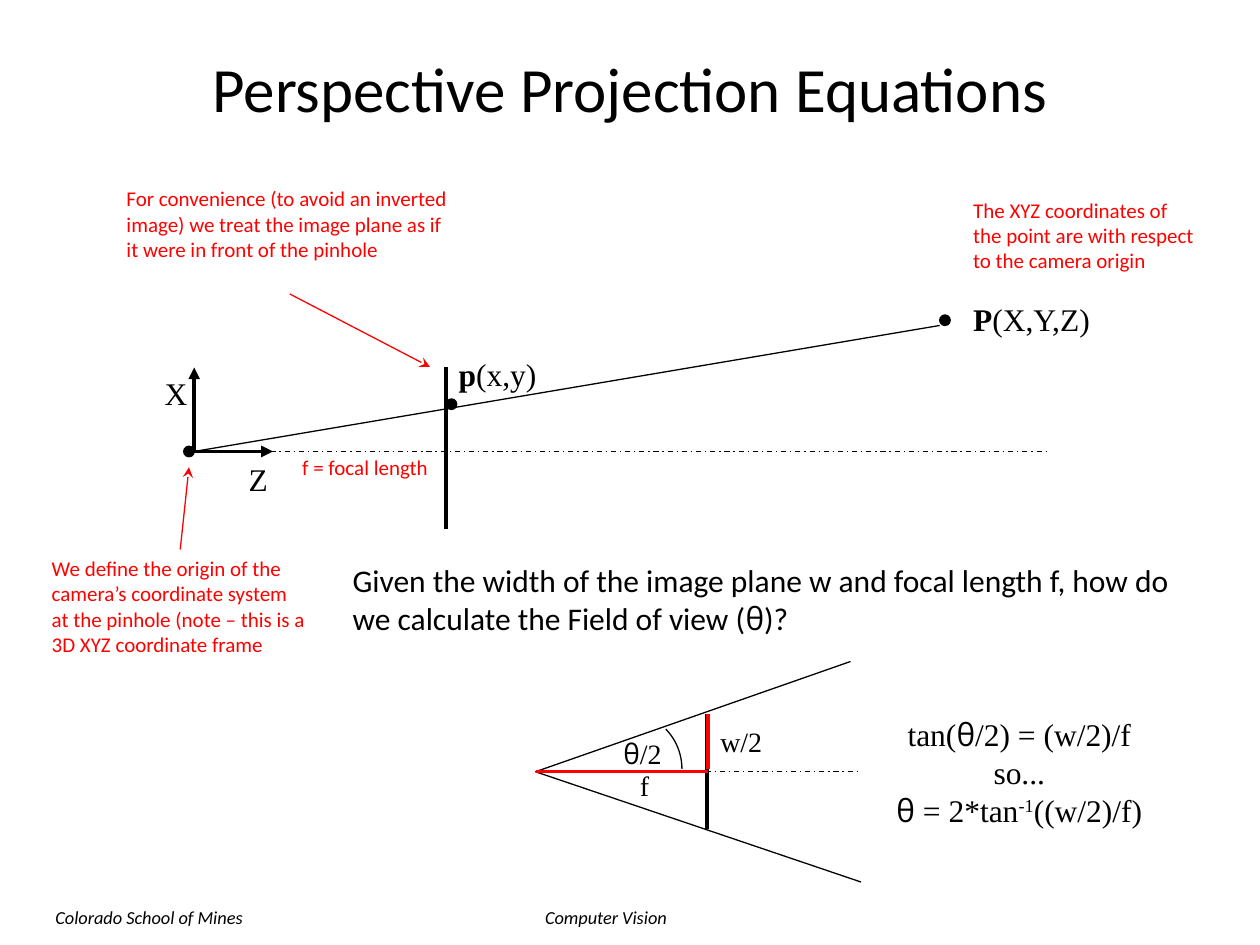
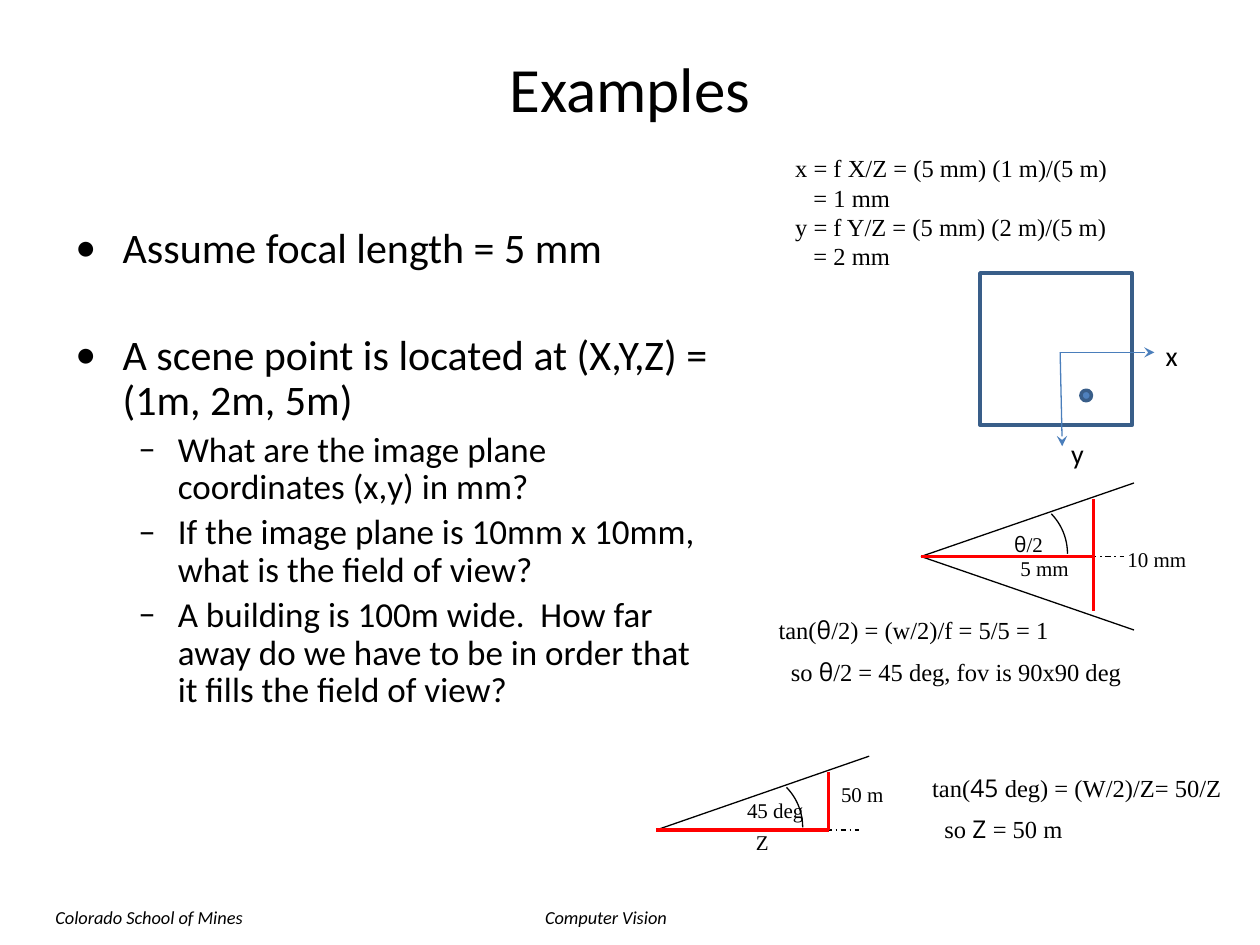
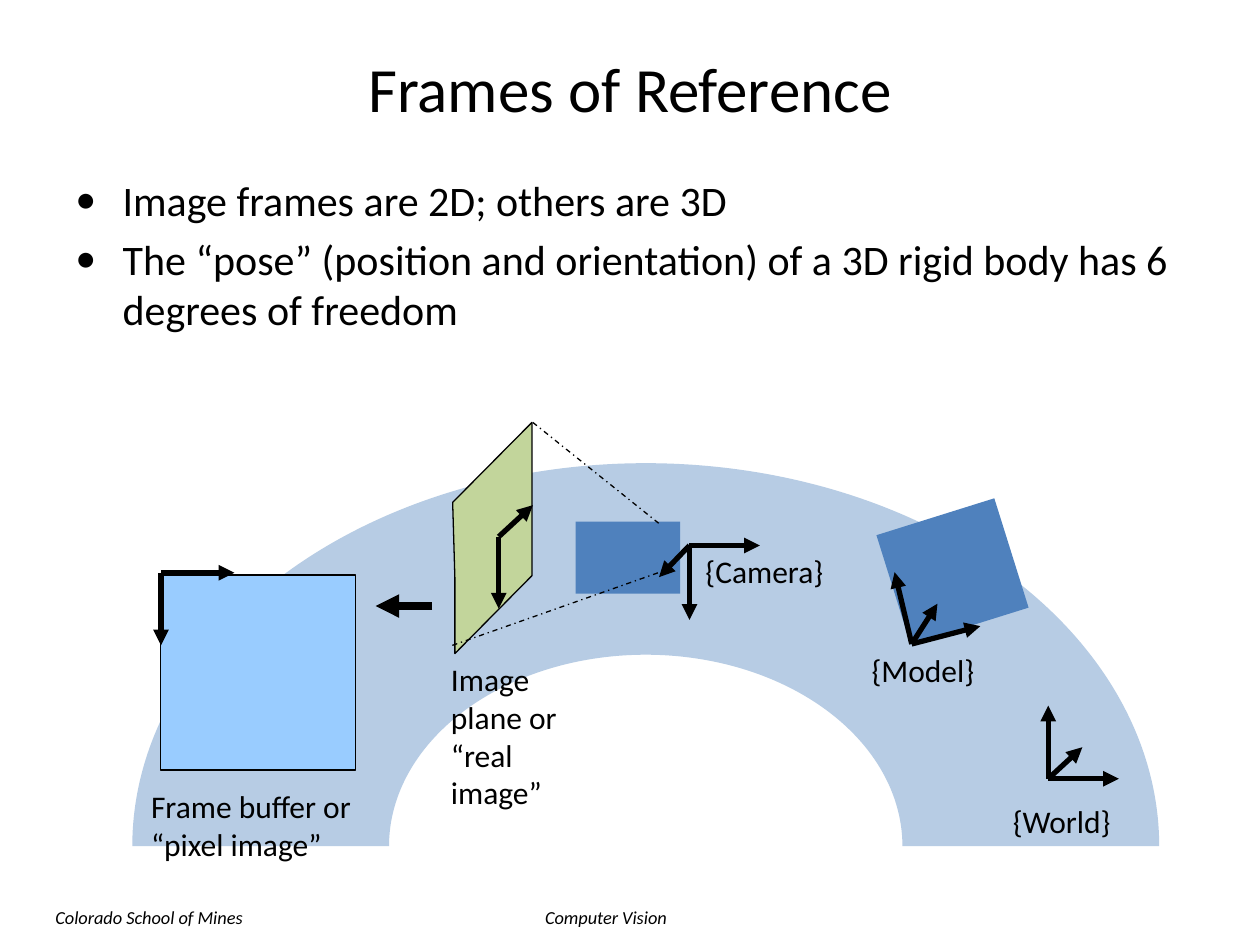
from dataclasses import dataclass

from lxml.etree import SubElement
from pptx import Presentation
from pptx.dml.color import RGBColor
from pptx.enum.dml import MSO_LINE
from pptx.enum.shapes import MSO_CONNECTOR, MSO_SHAPE
from pptx.enum.text import MSO_ANCHOR, PP_ALIGN
from pptx.oxml.ns import qn
from pptx.util import Pt


@dataclass(frozen=True)
class Theme:
    """Colours, fonts and sizes shared by the slides."""

    ink: str = "000000"
    accent: str = "FF0000"
    body_blue: str = "4F81BD"
    edge_blue: str = "395E89"
    axis_blue: str = "4A7EBB"
    arch_blue: str = "B7CCE4"
    buffer_blue: str = "99CCFF"
    plane_green: str = "C2D59B"
    sans: str = "Calibri"
    serif: str = "Times New Roman"
    symbol: str = "Open Sans"
    title: float = 36
    bullet: float = 24
    sub_bullet: float = 20
    text: float = 18
    label: float = 16
    working: float = 14
    note: float = 12
    footer: float = 10.5
    hairline: float = 0.75
    highlight: float = 1.75
    outline: float = 2
    bold_line: float = 2.25
    frame_line: float = 3


THEME = Theme()
THETA = ("θ", "symbol")


def set_font(font, size, name, color, italic=None):
    """Apply size, typeface and colour to a font."""
    font.size = Pt(size)
    font.name = name
    font.color.rgb = RGBColor.from_string(color)
    font.italic = italic


def add_part(paragraph, part):
    """Add a run, given as text or as text with a role."""
    text, role = (part, None) if isinstance(part, str) else part
    run = paragraph.add_run()
    run.text = text
    if role == "symbol":
        run.font.name = THEME.symbol
    elif role == "bold":
        run.font.bold = True
    elif role == "super":
        run._r.get_or_add_rPr().set("baseline", "30000")


def add_frame(slide, box):
    """Add a wrapping text box and return its text frame."""
    frame = slide.shapes.add_textbox(*map(Pt, box)).text_frame
    frame.word_wrap = True
    return frame


def next_paragraph(frame, index):
    """Return the paragraph to write for this index."""
    return frame.add_paragraph() if index else frame.paragraphs[0]


def add_text(slide, box, *lines, size=THEME.text, name=THEME.sans, color=THEME.ink,
             italic=None, align=None, gap=None, indents=()):
    """Write lines, each a text or a list of parts, and return the frame."""
    frame = add_frame(slide, box)
    for index, line in enumerate(lines):
        paragraph = next_paragraph(frame, index)
        paragraph.alignment = align
        if index and gap:
            paragraph.space_before = Pt(gap)
        if indents and indents[index]:
            paragraph._p.get_or_add_pPr().set("marL", str(Pt(indents[index])))
        for part in [line] if isinstance(line, str) else line:
            add_part(paragraph, part)
        set_font(paragraph.font, size, name, color, italic)
    return frame


def add_math(slide, box, *lines, **style):
    """Write lines in the serif face used for formulas."""
    add_text(slide, box, *lines, name=THEME.serif, **style)


def add_note(slide, box, text):
    """Write a red annotation."""
    add_text(slide, box, text, size=THEME.note, color=THEME.accent)


def add_bullets(slide, box, items, spacing=None):
    """Write bullets given as (level, space before, text)."""
    frame = add_frame(slide, box)
    levels = [("•", 27, -27, THEME.bullet), ("–", 58.5, -22.5, THEME.sub_bullet)]
    for index, (level, before, text) in enumerate(items):
        mark, margin, hanging, size = levels[level]
        paragraph = next_paragraph(frame, index)
        paragraph.level = level
        paragraph.line_spacing = spacing
        if before:
            paragraph.space_before = Pt(before)
        properties = paragraph._p.get_or_add_pPr()
        properties.set("marL", str(Pt(margin)))
        properties.set("indent", str(Pt(hanging)))
        SubElement(properties, qn("a:buFont")).set("typeface", THEME.sans)
        SubElement(properties, qn("a:buChar")).set("char", mark)
        add_part(paragraph, text)
        set_font(paragraph.font, size, THEME.sans, THEME.ink)


def add_line(slide, start, end, width=THEME.hairline, color=THEME.ink, dashed=False, head=None):
    """Draw a straight line with an optional arrowhead at its end."""
    connector = slide.shapes.add_connector(MSO_CONNECTOR.STRAIGHT, *map(Pt, (*start, *end)))
    connector.line.width = Pt(width)
    connector.line.color.rgb = RGBColor.from_string(color)
    if dashed:
        connector.line.dash_style = MSO_LINE.DASH_DOT
    if head:
        SubElement(connector.line._get_or_add_ln(), qn("a:tailEnd")).set("type", head)
    SubElement(connector._element.spPr, qn("a:effectLst"))


def add_axes(slide, origin, tips, width=THEME.frame_line, color=THEME.ink, head="triangle"):
    """Draw coordinate axes from an origin to their tips."""
    for tip in tips:
        add_line(slide, origin, tip, width, color, head=head)


def paint(shape, fill=None, line=None, width=THEME.hairline):
    """Set fill and outline, leaving out what is not given."""
    shape.shadow.inherit = False
    if fill:
        shape.fill.solid()
        shape.fill.fore_color.rgb = RGBColor.from_string(fill)
    else:
        shape.fill.background()
    if line:
        shape.line.color.rgb = RGBColor.from_string(line)
        shape.line.width = Pt(width)
    else:
        shape.line.fill.background()


def add_preset(slide, kind, box, **look):
    """Draw a preset shape."""
    shape = slide.shapes.add_shape(kind, *map(Pt, box))
    paint(shape, **look)
    return shape


def add_dot(slide, x, y, **look):
    """Mark a point by the top left corner of its dot."""
    add_preset(slide, MSO_SHAPE.OVAL, (x, y, 6, 6), **look)


def add_outline(slide, points, **look):
    """Draw a closed polygon."""
    corners = [tuple(map(Pt, point)) for point in points]
    builder = slide.shapes.build_freeform(*corners[0])
    builder.add_line_segments(corners[1:], close=True)
    shape = builder.convert_to_shape()
    paint(shape, **look)
    return shape


def add_arch(slide, center, outer):
    """Draw a half ring whose inner radii are half the outer ones."""
    x, y = center
    across, up = outer
    inner = (across / 2, up / 2)
    arch = add_outline(slide, [
        (x - inner[0], y), (x, y - inner[1]), (x + inner[0], y),
        (x + across, y), (x, y - up), (x - across, y),
    ], fill=THEME.arch_blue)
    sides = list(arch._element.iter(qn("a:lnTo")))
    quarters = [(0, inner, 180, 90), (1, inner, 270, 90), (3, outer, 0, -90), (4, outer, 270, -90)]
    for index, radii, start, sweep in quarters:
        side = sides[index]
        curve = side.makeelement(qn("a:arcTo"), {
            "wR": str(Pt(radii[0])), "hR": str(Pt(radii[1])),
            "stAng": str(start * 60000), "swAng": str(sweep * 60000),
        })
        side.getparent().replace(side, curve)


def add_field_of_view(slide, apex, axis, rays, plane):
    """Draw rays, axis, angle and image plane relative to an apex."""
    x, y = apex
    plane_x = x + 98.6
    add_line(slide, apex, (x + axis, y), dashed=True)
    for across, down in rays:
        add_line(slide, apex, (x + across, y + down))
    arc = add_preset(slide, MSO_SHAPE.ARC, (x + 18.2, y - 34.3, 65.5, 65.5), line=THEME.ink)
    arc.adjustments[0] = 189.51
    arc.adjustments[1] = 0
    top, bottom = plane
    add_line(slide, (plane_x, y + bottom), (plane_x, y + top), THEME.highlight, THEME.accent)
    add_line(slide, (plane_x, y), apex, THEME.highlight, THEME.accent)


def add_footer(slide):
    """Write the footer and hand it to the layout that all slides share."""
    for left, width, text in [(304.4, 101, "Computer Vision"), (24.6, 145.5, "Colorado School of Mines")]:
        frame = add_text(slide, (left, 514, width, 19.5), text, size=THEME.footer, italic=True)
        slide.slide_layout.shapes._spTree.append(frame._txBody.getparent())


def new_slide(deck, heading):
    """Add a slide with its title."""
    slide = deck.slides.add_slide(deck.slide_layouts[5])
    title = slide.shapes.title
    title.left, title.top, title.width, title.height = map(Pt, (36, 21.6, 648, 56.2))
    title.text_frame.text = heading
    title.text_frame.vertical_anchor = MSO_ANCHOR.MIDDLE
    paragraph = title.text_frame.paragraphs[0]
    paragraph.alignment = PP_ALIGN.CENTER
    set_font(paragraph.font, THEME.title, THEME.sans, THEME.ink)
    return slide


def build_projection(deck):
    """Show the pinhole model and the field of view formula."""
    slide = new_slide(deck, "Perspective Projection Equations")
    add_footer(slide)
    pinhole = (111, 258)
    add_line(slide, (255, 210), (255, 302.4), THEME.bold_line)
    add_line(slide, (114, 258), (600, 258), dashed=True)
    add_axes(slide, pinhole, [(156, 258), (111, 210)], THEME.bold_line)
    add_line(slide, pinhole, (537, 186))
    for x, y in [(537, 180), (105, 255), (255, 228)]:
        add_dot(slide, x, y, fill=THEME.ink, line=THEME.ink)
    add_math(slide, (87, 210, 47.5, 29), "X")
    add_math(slide, (135, 259.3, 47.5, 29), "Z")
    add_math(slide, (549, 167.8, 90, 29), [("P", "bold"), "(X,Y,Z)"])
    add_math(slide, (255, 199.5, 90, 29), [("p", "bold"), "(x,y)"])

    add_note(slide, (165.6, 256.2, 87, 36), "f = focal length")
    add_note(slide, (22.5, 314, 160.5, 93),
             "We define the origin of the camera’s coordinate system at the pinhole "
             "(note – this is a 3D XYZ coordinate frame")
    add_note(slide, (65.2, 102.7, 201, 78.5),
             "For convenience (to avoid an inverted image) we treat the image plane as if "
             "it were in front of the pinhole")
    add_note(slide, (549, 109.2, 144, 78.5),
             "The XYZ coordinates of the point are with respect to the camera origin")
    for start, end in [((103, 314), (108, 267)), ((165.6, 168), (245.7, 209.7))]:
        add_line(slide, start, end, color=THEME.accent, head="stealth")

    add_text(slide, (194.4, 317, 497, 29),
             ["Given the width of the image plane w and focal length f, how do we calculate "
              "the Field of view (", THETA, ")?"])
    add_line(slide, (404.2, 408), (404.2, 474), THEME.bold_line)
    add_field_of_view(slide, (306, 441), 186, [(180, -63), (186, 63)], (-33, -1.5))
    add_math(slide, (404.6, 410.2, 45, 26), "w/2", size=THEME.label)
    add_math(slide, (358.6, 435.4, 45, 26), "f", size=THEME.label)
    add_math(slide, (349.2, 417.6, 45, 26), [THETA, "/2"], size=THEME.label)
    add_math(slide, (498, 405, 169, 29),
             ["tan(", THETA, "/2) = (w/2)/f"], "so...",
             [THETA, " = 2*tan", ("-1", "super"), "((w/2)/f)"], align=PP_ALIGN.CENTER)


def build_examples(deck):
    """Work through the numeric examples."""
    slide = new_slide(deck, "Examples")
    add_bullets(slide, (36, 126, 378, 356.4), [
        (0, 0, "Assume focal length = 5 mm"),
        (0, 35.5, "A scene point is located at (X,Y,Z) = (1m, 2m, 5m)"),
        (1, 4, "What are the image plane coordinates (x,y) in mm?"),
        (1, 4, "If the image plane is 10mm x 10mm, what is the field of view?"),
        (1, 4, "A building is 100m wide.  How far away do we have to be in order that "
               "it fills the field of view?"),
    ], spacing=0.9)
    add_math(slide, (447.3, 84, 233, 91), "x = f X/Z = (5 mm) (1 m)/(5 m)", "= 1 mm",
             "y = f Y/Z = (5 mm) (2 m)/(5 m)", "= 2 mm",
             size=THEME.working, indents=(0, 10.5, 0, 10.5))

    add_preset(slide, MSO_SHAPE.RECTANGLE, (560, 156, 87, 87), line=THEME.edge_blue, width=THEME.outline)
    add_axes(slide, (605.8, 201.4), [(659.7, 201.4), (607, 255)], THEME.hairline, THEME.axis_blue, "stealth")
    add_text(slide, (659, 190, 24, 26), "x", size=THEME.label)
    add_text(slide, (605, 246, 24, 26), "y", size=THEME.label)
    add_dot(slide, 617.7, 223, fill=THEME.body_blue, line=THEME.edge_blue, width=THEME.outline)

    add_math(slide, (437.8, 348, 252, 47.5), ["tan(", THETA, "/2) = (w/2)/f = 5/5 = 1"],
             ["so ", THETA, "/2 = 45 deg, fov is 90x90 deg"],
             size=THEME.working, gap=7, indents=(0, 7))
    add_math(slide, (525.6, 438.1, 186, 47.5),
             ["tan(", ("45 ", "symbol"), "deg) = (W/2)/Z= 50/Z"],
             ["so ", ("Ζ ", "symbol"), "= 50 m"],
             size=THEME.working, gap=7, indents=(0, 7))

    add_field_of_view(slide, (526.3, 318), 116, [(121.7, -42), (121.7, 42)], (-33, 31.2))
    add_field_of_view(slide, (375, 474.3), 116, [(121.7, -42.2)], (-33, 0))
    for box, label in [
        ((637.2, 309, 56, 21.6), "10 mm"),
        ((576, 314, 45.4, 21.6), "5 mm"),
        ((572.4, 300.2, 45.4, 21.6), [THETA, "/2"]),
        ((473.5, 443.2, 65.5, 21.6), "50 m"),
        ((424.8, 470.2, 45.4, 21.6), "Z"),
        ((419.8, 452.2, 52, 21.6), "45 deg"),
    ]:
        add_math(slide, box, label, size=THEME.note)


def build_frames(deck):
    """Show the frames of reference along the imaging chain."""
    slide = new_slide(deck, "Frames of Reference")
    add_arch(slide, (369, 483.6), (293.4, 218.9))
    add_preset(slide, MSO_SHAPE.RECTANGLE, (329, 298, 59.6, 41.2), fill=THEME.body_blue)
    model = add_preset(slide, MSO_SHAPE.RECTANGLE, (509, 293.8, 70.6, 65.5), fill=THEME.body_blue)
    model.rotation = 342.6
    add_outline(slide, [(260, 330.5), (260, 373.5), (304, 329), (304, 241.4), (258.7, 287.1)],
                fill=THEME.plane_green, line=THEME.ink)
    add_preset(slide, MSO_SHAPE.RECTANGLE, (91.7, 328.5, 111.6, 111.6), fill=THEME.buffer_blue, line=THEME.ink)

    for origin, tips in [
        ((599, 445), [(639.4, 445), (599, 403.2), (618.5, 427)]),
        ((521, 368), [(560.2, 357.8), (511.2, 327), (535.7, 345)]),
        ((394, 311.7), [(434.2, 311.7), (394, 354.2), (376.6, 329.8)]),
        ((285, 306.7), [(285, 347.8), (304.5, 288.7)]),
        ((92, 327.3), [(134, 327.3), (92, 368.8)]),
    ]:
        add_axes(slide, origin, tips)
    for box, label in [
        ((571.7, 455, 88.5, 29), "{World}"),
        ((491, 368.6, 88.5, 50), "{Model}"),
        ((396, 312, 106.5, 50), "{Camera}"),
        ((250.6, 373.6, 77.8, 137), "Image plane or “real image”"),
        ((79.2, 446.4, 135.4, 72), "Frame buffer or “pixel image”"),
    ]:
        add_text(slide, box, label)
    add_line(slide, (304.5, 241.4), (377, 299.5), dashed=True)
    add_line(slide, (258.5, 368.8), (377, 327), dashed=True)
    add_line(slide, (247, 346.3), (214.6, 346.3), 4.5, head="triangle")
    add_bullets(slide, (36, 96, 648, 386), [
        (0, 0, "Image frames are 2D; others are 3D"),
        (0, 4.8, "The “pose” (position and orientation) of a 3D rigid body has 6 degrees of freedom"),
    ])


def main():
    """Build and save the deck."""
    deck = Presentation()
    deck.slide_width, deck.slide_height = Pt(720), Pt(540)
    build_projection(deck)
    build_examples(deck)
    build_frames(deck)
    deck.save("out.pptx")


if __name__ == "__main__":
    main()
